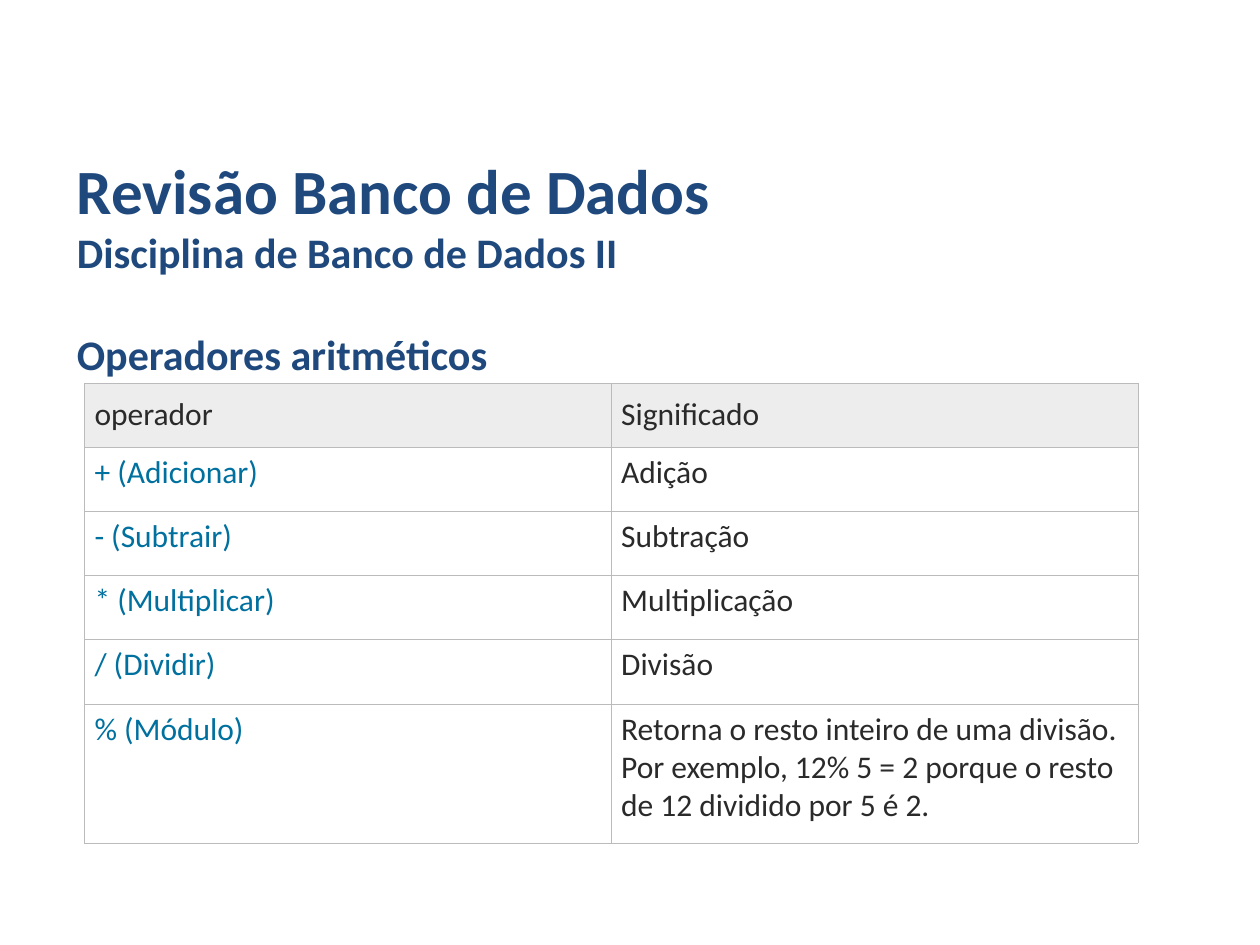
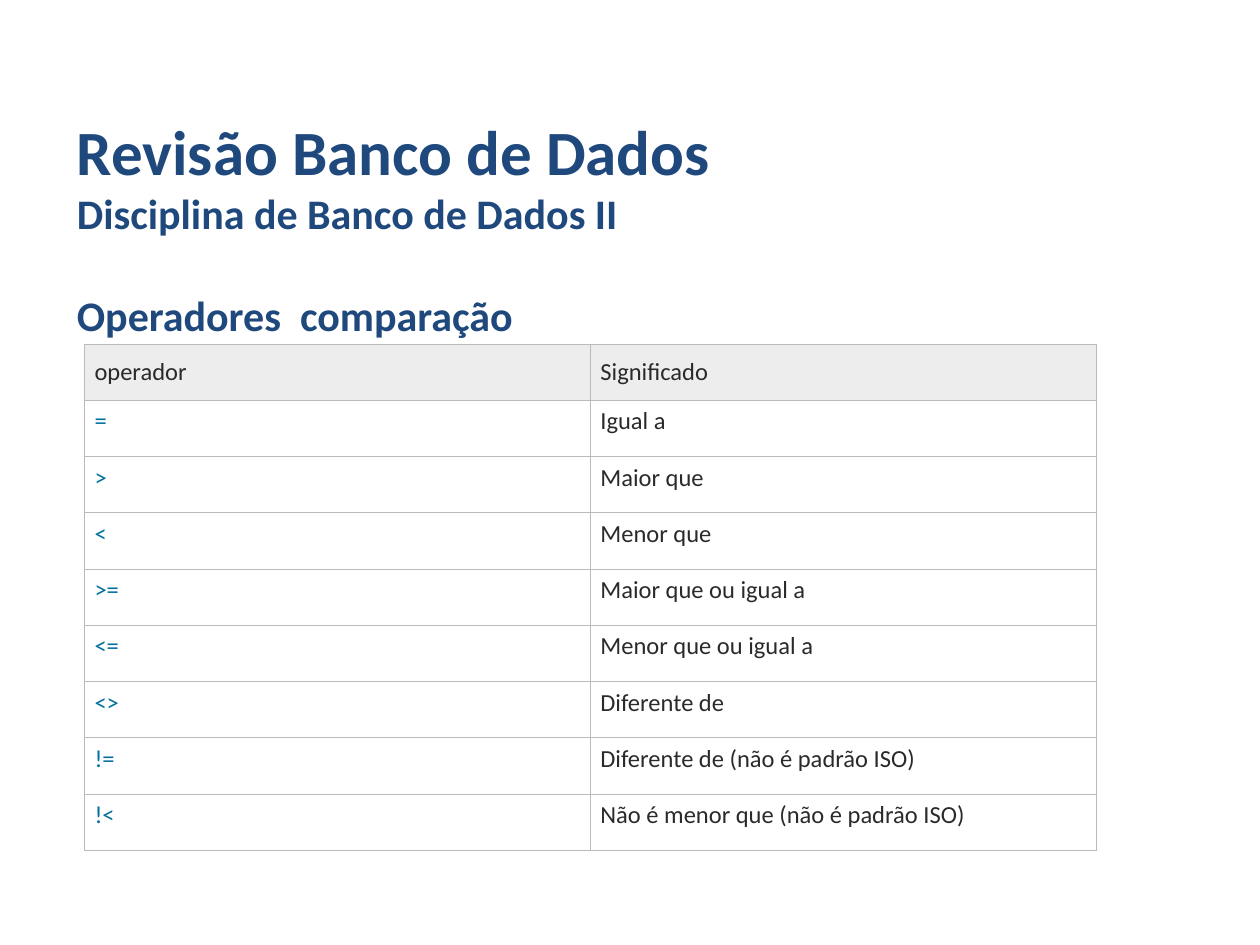
import dataclasses

import lxml.etree
import pptx
import pptx.dml.color
import pptx.enum.text
import pptx.oxml.ns
import pptx.util

COURSE = "Revisão Banco de Dados"
SUBJECT = "Disciplina de Banco de Dados II"
HEADER = ("operador", "Significado")

# Lengths are inches; last_row is the height of the last row in ordinary rows.
TOPICS = [
    {
        "name": "Operadores aritméticos",
        "title_top": 1.15, "title_height": 4.3,
        "table_width": 8.36, "table_height": 3.65,
        "last_row": 2.17, "text_size": 18,
        "operators": [
            ("+ (Adicionar)", "Adição"),
            ("- (Subtrair)", "Subtração"),
            ("* (Multiplicar)", "Multiplicação"),
            ("/ (Dividir)", "Divisão"),
            ("% (Módulo)", "Retorna o resto inteiro de uma divisão. Por exemplo, "
                           "12% 5 = 2 porque o resto de 12 dividido por 5 é 2."),
        ],
    },
    {
        "name": "Operadores  comparação",
        "title_top": 0.84, "title_height": 4.7,
        "table_width": 8.03, "table_height": 4.02,
        "last_row": 1, "text_size": 14,
        "operators": [
            ("=", "Igual a"),
            (">", "Maior que"),
            ("<", "Menor que"),
            (">=", "Maior que ou igual a"),
            ("<=", "Menor que ou igual a"),
            ("<>", "Diferente de"),
            ("!=", "Diferente de (não é padrão ISO)"),
            ("!<", "Não é menor que (não é padrão ISO)"),
        ],
    },
]


@dataclasses.dataclass(frozen=True)
class Theme:
    font: str = "Calibri"
    heading: str = "1F497D"
    text: str = "2A2A2A"
    operator: str = "00709F"
    header_fill: str = "EDEDED"
    border: str = "BBBBBB"
    border_width: float = 0.34
    title_size: int = 36
    subtitle_size: int = 24
    topic_gap: float = 29.3


THEME = Theme()
TITLE_LEFT, TITLE_WIDTH = 0.51, 9.21
TABLE_LEFT = 0.67
TABLE_OFFSET = 1.89  # from the top of the title to the top of the table
TITLE_ONLY_LAYOUT = 5


def add_span(para, text, size, colour, bold=False):
    span = para.add_run()
    span.text = text
    span.font.name = THEME.font
    span.font.size = pptx.util.Pt(size)
    span.font.bold = bold
    span.font.color.rgb = pptx.dml.color.RGBColor.from_string(colour)


def set_margins(box, side):
    box.margin_left = box.margin_right = pptx.util.Inches(side)
    box.margin_top = box.margin_bottom = pptx.util.Inches(0.05)


def add_title(page, topic):
    title = page.shapes.title
    title.left, title.top, title.width, title.height = map(
        pptx.util.Inches,
        (TITLE_LEFT, topic["title_top"], TITLE_WIDTH, topic["title_height"]))
    frame = title.text_frame
    frame.word_wrap = True
    frame.auto_size = pptx.enum.text.MSO_AUTO_SIZE.NONE
    frame.vertical_anchor = pptx.enum.text.MSO_ANCHOR.TOP
    set_margins(frame, 0.1)
    lines = [
        (COURSE, THEME.title_size, 0),
        (SUBJECT, THEME.subtitle_size, 0),
        (topic["name"], THEME.subtitle_size, THEME.topic_gap),
    ]
    for index, (text, size, gap) in enumerate(lines):
        para = frame.add_paragraph() if index else frame.paragraphs[0]
        para.alignment = pptx.enum.text.PP_ALIGN.LEFT
        if gap:
            para.space_before = pptx.util.Pt(gap)
        add_span(para, text, size, THEME.heading, bold=True)


def add_borders(cell):
    """Draw the four sides; they must stand before the fill in the cell's XML."""
    properties = cell._tc.get_or_add_tcPr()
    qn = pptx.oxml.ns.qn
    for index, side in enumerate(("a:lnL", "a:lnR", "a:lnT", "a:lnB")):
        line = lxml.etree.Element(
            qn(side), w=str(int(pptx.util.Pt(THEME.border_width))))
        fill = lxml.etree.SubElement(line, qn("a:solidFill"))
        lxml.etree.SubElement(fill, qn("a:srgbClr"), val=THEME.border)
        properties.insert(index, line)


def fill_cell(cell, text, size, is_header, is_operator):
    set_margins(cell, 0.08)
    if is_header:
        cell.vertical_anchor = pptx.enum.text.MSO_ANCHOR.MIDDLE
        cell.fill.solid()
        cell.fill.fore_color.rgb = pptx.dml.color.RGBColor.from_string(THEME.header_fill)
    else:
        cell.vertical_anchor = pptx.enum.text.MSO_ANCHOR.TOP
        cell.fill.background()
    colour = THEME.operator if is_operator and not is_header else THEME.text
    add_span(cell.text_frame.paragraphs[0], text, size, colour)
    add_borders(cell)


def add_operator_table(page, topic):
    rows = [HEADER, *topic["operators"]]
    width, height = topic["table_width"], topic["table_height"]
    table = page.shapes.add_table(
        len(rows), len(HEADER),
        *map(pptx.util.Inches,
             (TABLE_LEFT, topic["title_top"] + TABLE_OFFSET, width, height))).table
    table.first_row = table.horz_banding = False
    for column in table.columns:
        column.width = pptx.util.Inches(width / len(HEADER))
    shares = [1] * (len(rows) - 1) + [topic["last_row"]]
    for row_index, (texts, share) in enumerate(zip(rows, shares)):
        table.rows[row_index].height = pptx.util.Inches(height * share / sum(shares))
        for column_index, text in enumerate(texts):
            fill_cell(table.cell(row_index, column_index), text, topic["text_size"],
                      is_header=row_index == 0, is_operator=column_index == 0)


def main():
    deck = pptx.Presentation()
    deck.slide_width, deck.slide_height = pptx.util.Inches(10), pptx.util.Inches(7.5)
    for topic in TOPICS:
        page = deck.slides.add_slide(deck.slide_layouts[TITLE_ONLY_LAYOUT])
        add_title(page, topic)
        add_operator_table(page, topic)
    deck.save("out.pptx")


if __name__ == "__main__":
    main()
